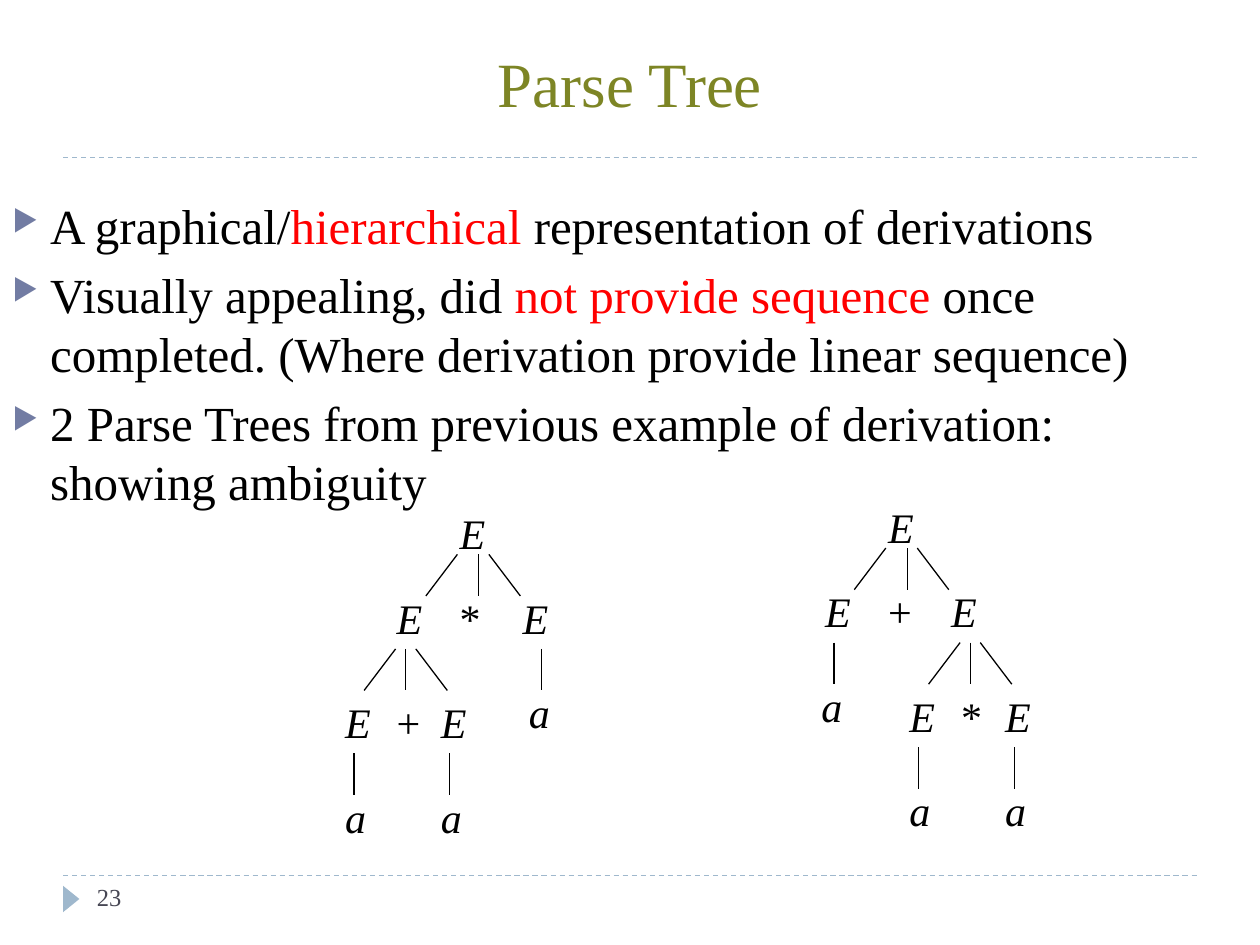
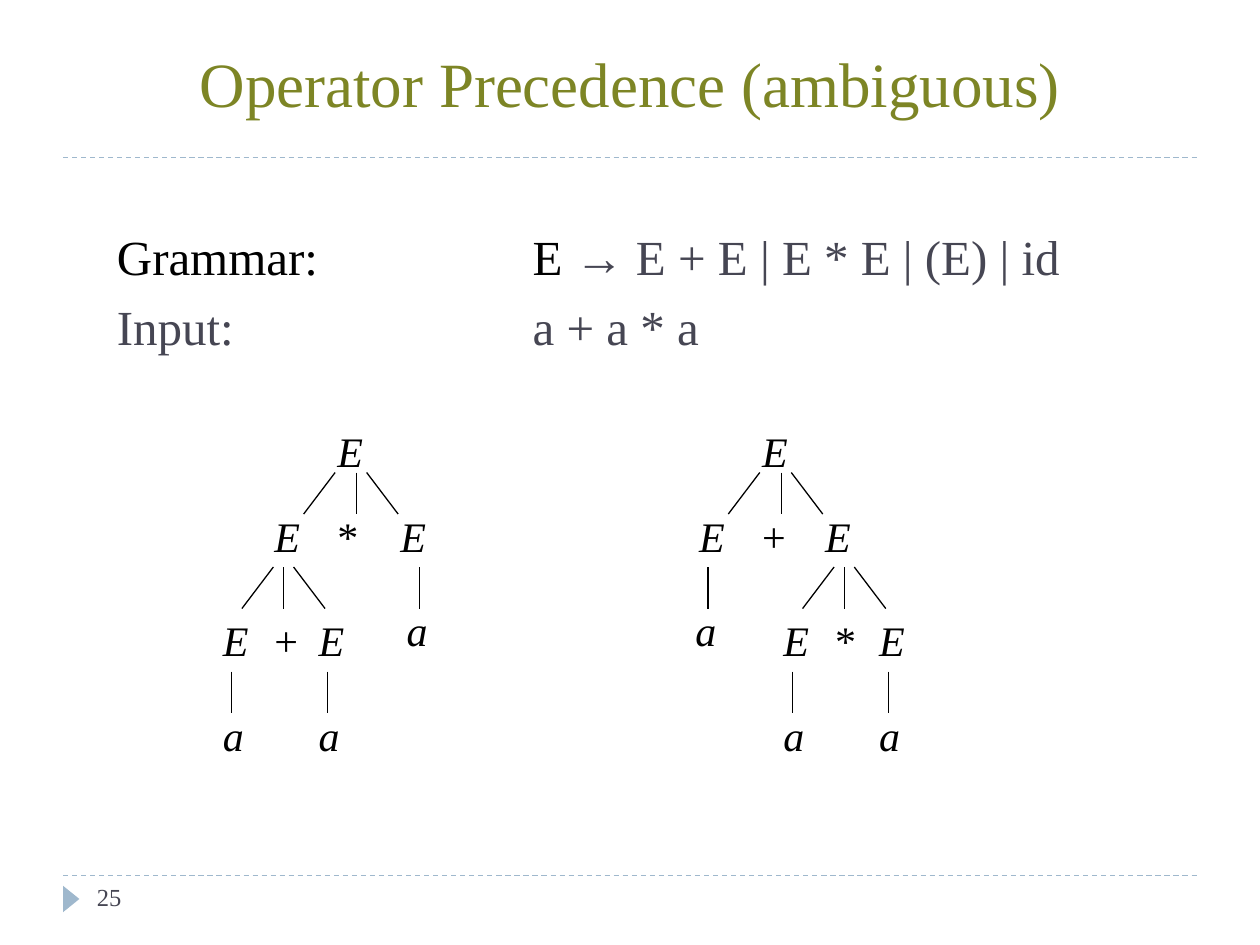
"""Build two slides on parse trees and ambiguous operator precedence."""
from lxml.etree import SubElement
from pptx import Presentation
from pptx.dml.color import RGBColor
from pptx.enum.dml import MSO_LINE
from pptx.enum.shapes import MSO_CONNECTOR, MSO_SHAPE
from pptx.enum.text import MSO_ANCHOR, PP_ALIGN
from pptx.oxml.ns import qn
from pptx.util import Inches, Pt

FONT = "Times New Roman"
BLACK = RGBColor(0x00, 0x00, 0x00)
RED = RGBColor(0xFF, 0x00, 0x00)
OLIVE = RGBColor(0x7D, 0x85, 0x25)
SLATE = RGBColor(0x46, 0x46, 0x53)
PALE_BLUE = RGBColor(0x9F, 0xB8, 0xCD)
BULLET_BLUE = RGBColor(0x72, 0x7C, 0xA3)

LABEL_WIDTHS = {"E": 0.4, "a": 0.37, "+": 0.39, "*": 0.37}
BRANCH_HEIGHT = 0.33


def add_span(para, text, size, color, italic=False):
    """Add one formatted run to a paragraph."""
    span = para.add_run()
    span.text = text
    span.font.name = FONT
    span.font.size = Pt(size)
    span.font.color.rgb = color
    span.font.italic = italic


def add_line(shapes, start, end, color):
    """Draw a thin straight line without a shadow."""
    line = shapes.add_connector(MSO_CONNECTOR.STRAIGHT, *map(Inches, start + end))
    line.line.color.rgb = color
    line.line.width = Pt(0.75)
    SubElement(line._element.spPr, qn("a:effectLst"))
    return line


def add_label(shapes, text, left, top):
    """Place one grammar symbol, with letters in italics."""
    box = shapes.add_textbox(Inches(left), Inches(top), Inches(LABEL_WIDTHS[text]), Inches(0.5))
    box.text_frame.word_wrap = False
    add_span(box.text_frame.paragraphs[0], text, 24, BLACK, text.isalpha())


def add_branches(shapes, left, top, stem):
    """Draw the outer branches below a node and the stem between them."""
    right = left + stem + 0.08
    for start, end in ((left, left - 0.25), (left + stem, left + stem), (right, right + 0.25)):
        add_line(shapes, (start, top), (end, top + BRANCH_HEIGHT), BLACK)


def add_leaf(shapes, left, top, stem):
    """Draw a stem and the terminal below it."""
    add_line(shapes, (left + stem, top), (left + stem, top + BRANCH_HEIGHT), BLACK)
    add_label(shapes, "a", left, top + 0.25)


def add_parse_tree(page, left, top, operators, nested, leaf):
    """Draw a two-level tree: nested and leaf are offsets from the root."""
    shapes = page.shapes.add_group_shape().shapes
    outer, inner = operators
    add_label(shapes, "E", left, top)
    add_branches(shapes, left + 0.08, top + 0.42, 0.17)
    for symbol, offset in (("E", -0.5), (outer, 0), ("E", 0.5)):
        add_label(shapes, symbol, left + offset, top + 0.67)
    add_leaf(shapes, left + leaf, top + 1.17, 0.2)

    middle = left + nested
    add_branches(shapes, middle + 0.17, top + 1.17, 0.08)
    for symbol, offset in (("E", -0.33), (inner, 0.08), ("E", 0.43)):
        add_label(shapes, symbol, middle + offset, top + 1.5)
        if symbol == "E":
            add_leaf(shapes, middle + offset, top + 2, 0.17)


def add_tree_pair(page, product_root, sum_root):
    """Draw the tree rooted in a product and the one rooted in a sum."""
    add_parse_tree(page, *product_root, "*+", nested=-0.58, leaf=0.55)
    add_parse_tree(page, *sum_root, "+*", nested=0.5, leaf=-0.53)


def add_bullet(properties):
    """Give paragraph properties a coloured triangle bullet."""
    color = SubElement(properties, qn("a:buClr"))
    SubElement(color, qn("a:srgbClr"), val=str(BULLET_BLUE))
    SubElement(properties, qn("a:buSzPct"), val="60000")
    SubElement(properties, qn("a:buChar"), char="▶")


def add_body(page, left, top, width, height, paragraphs, bulleted):
    """Write paragraphs of (text, colour) pairs with a hanging indent."""
    box = page.shapes.add_textbox(*map(Inches, (left, top, width, height)))
    frame = box.text_frame
    frame.word_wrap = True
    for index, spans in enumerate(paragraphs):
        para = frame.add_paragraph() if index else frame.paragraphs[0]
        if index:
            para.space_before = Pt(6)
        properties = para._p.get_or_add_pPr()
        for name, length in (("marL", 0.3), ("indent", -0.3), ("defTabSz", 1)):
            properties.set(name, str(Inches(length)))
        if bulleted:
            add_bullet(properties)
        for text, color in spans:
            for number, part in enumerate(text.split("\n")):
                if number:
                    para.add_line_break()
                add_span(para, part, 28, color)


def add_page(deck, title_text, number):
    """Add a slide with the shared title, rules and page number."""
    page = deck.slides.add_slide(deck.slide_layouts[5])
    for height in (6.95, 1.25):
        rule = add_line(page.shapes, (0.5, height), (9.5, height), PALE_BLUE)
        rule.line.dash_style = MSO_LINE.DASH

    marker = page.shapes.add_shape(
        MSO_SHAPE.ISOSCELES_TRIANGLE, Inches(0.46), Inches(7.07), Inches(0.21), Inches(0.13))
    marker.rotation = 90
    marker.shadow.inherit = False
    marker.fill.solid()
    marker.fill.fore_color.rgb = PALE_BLUE
    marker.line.fill.background()

    footer = page.shapes.add_textbox(Inches(0.67), Inches(6.95), Inches(2.17), Inches(0.4))
    footer.text_frame.word_wrap = True
    add_span(footer.text_frame.paragraphs[0], number, 14, SLATE)

    title = page.shapes.title
    title.left, title.top = Inches(0.5), Inches(0.17)
    title.width, title.height = Inches(9), Inches(0.83)
    title.text_frame.vertical_anchor = MSO_ANCHOR.BOTTOM
    para = title.text_frame.paragraphs[0]
    para.alignment = PP_ALIGN.CENTER
    add_span(para, title_text, 36, OLIVE)
    return page


def main():
    """Build and save the deck."""
    deck = Presentation()
    deck.slide_width, deck.slide_height = Inches(10), Inches(7.5)

    page = add_page(deck, "Parse Tree", "23")
    add_body(page, 0, 1.5, 10, 2.25, [
        [("A graphical/", BLACK), ("hierarchical ", RED),
         ("representation of derivations", BLACK)],
        [("Visually appealing, did ", BLACK), ("not provide sequence ", RED),
         ("once completed. (Where derivation provide linear sequence)", BLACK)],
        [("2 Parse Trees from previous example of derivation: \nshowing ambiguity", BLACK)],
    ], bulleted=True)
    add_tree_pair(page, (3.55, 3.98), (6.95, 3.93))

    page = add_page(deck, "Operator Precedence (ambiguous)", "25")
    add_body(page, 0.83, 1.75, 9, 1.17, [
        [("Grammar: \t\tE ", BLACK), ("→ E + E | E * E | (E) | id", SLATE)],
        [("Input:\t\t\ta + a * a", SLATE)],
    ], bulleted=False)
    add_tree_pair(page, (2.58, 3.33), (5.95, 3.33))

    deck.save("out.pptx")


if __name__ == "__main__":
    main()
